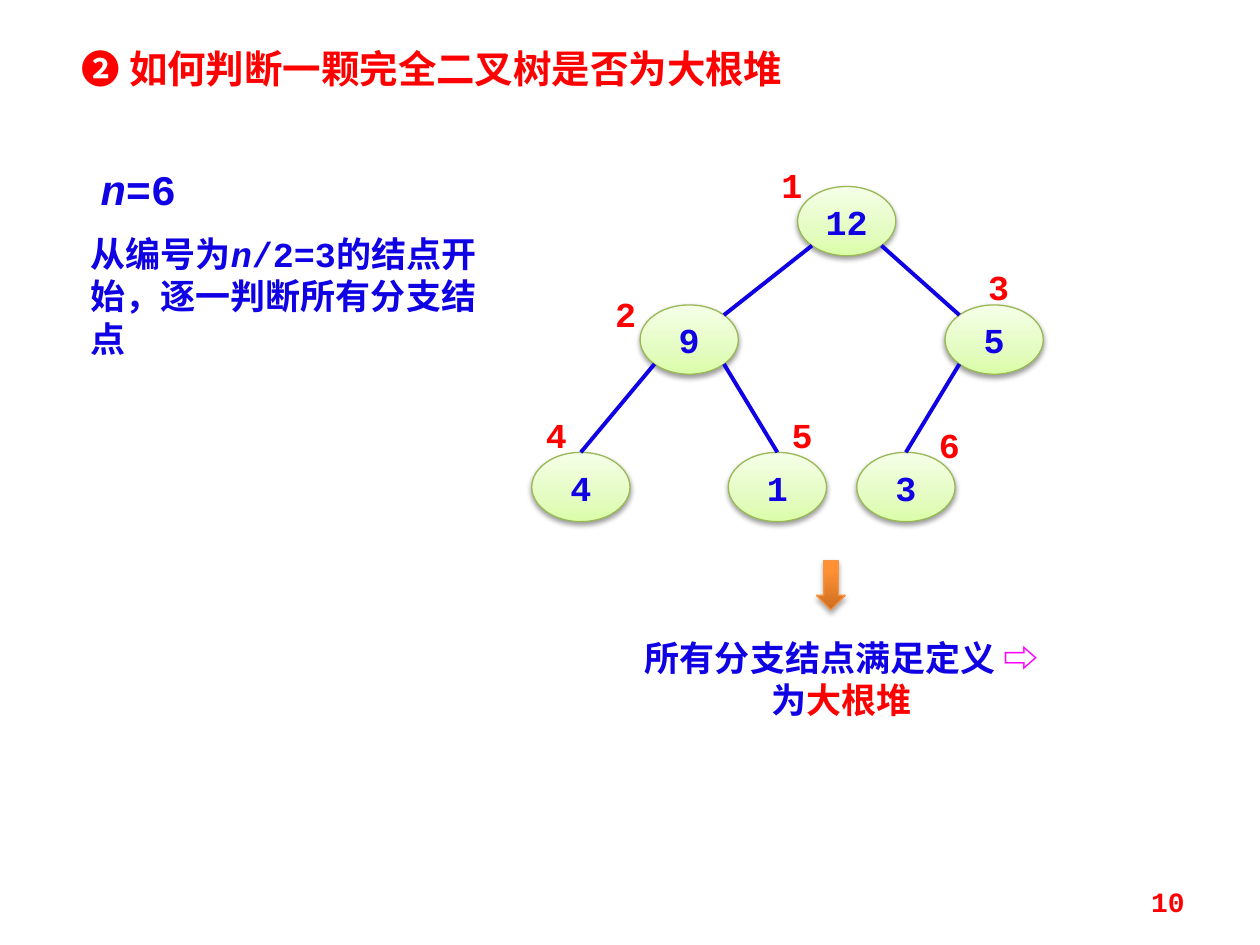
from dataclasses import dataclass
from math import sqrt
from typing import NamedTuple

from lxml.etree import SubElement
from pptx import Presentation
from pptx.dml.color import RGBColor
from pptx.enum.shapes import MSO_CONNECTOR as Connector, MSO_SHAPE as Shape
from pptx.enum.text import MSO_ANCHOR as Anchor, MSO_AUTO_SIZE as AutoSize, PP_ALIGN as Align
from pptx.oxml.ns import qn
from pptx.util import Inches, Pt


@dataclass(frozen=True)
class Theme:
    font: str = "Courier New"
    blue: str = "1000E4"
    red: str = "FF0000"
    magenta: str = "FF00FF"
    node_line: str = "98B955"
    arrow_line: str = "F69240"
    node_stops: tuple = ((0, "DAFDA7"), (35, "E4FCC2"), (100, "F5FFE7"))
    arrow_stops: tuple = ((0, "CC6E20"), (80, "FF9034"), (100, "FF9136"))
    title: int = 22
    lead: int = 24
    body: int = 20
    page: int = 16


THEME = Theme()
NODE_W, NODE_H = 0.78, 0.55
LABEL_W, LABEL_H = 0.39, 0.34


class Box(NamedTuple):
    left: float
    top: float
    width: float
    height: float


class Run(NamedTuple):
    text: str
    color: str = THEME.blue
    italic: bool = False


@dataclass(frozen=True)
class Node:
    value: int
    left: float
    top: float
    label_left: float
    label_top: float

    def corner(self, side: int, end: int) -> tuple[float, float]:
        """Diagonal point of the ellipse: side -1 left, 1 right; end -1 upper, 1 lower."""
        return (self.left + NODE_W / 2 * (1 + side / sqrt(2)),
                self.top + NODE_H / 2 * (1 + end / sqrt(2)))

    def apex(self) -> tuple[float, float]:
        return self.left + NODE_W / 2, self.top


# Heap nodes in numbering order: the children of i are 2i and 2i + 1
NODES = (
    Node(12, 6.33, 1.48, 6.09, 1.30),
    Node(9, 5.08, 2.42, 4.77, 2.32),
    Node(5, 7.50, 2.42, 7.73, 2.11),
    Node(4, 4.22, 3.59, 4.22, 3.28),
    Node(1, 5.78, 3.59, 6.17, 3.28),
    Node(3, 6.80, 3.59, 7.34, 3.36),
)


def write(frame, runs: list[Run], size: int, align=Align.LEFT, **settings) -> None:
    for name, value in ({"word_wrap": True} | settings).items():
        setattr(frame, name, value)
    paragraph = frame.paragraphs[0]
    paragraph.alignment = align
    for part in runs:
        run = paragraph.add_run()
        run.text = part.text
        look = {"name": THEME.font, "size": Pt(size), "bold": True, "italic": part.italic}
        for name, value in look.items():
            setattr(run.font, name, value)
        run.font.color.rgb = RGBColor.from_string(part.color)


def add_text(slide, box: Box, runs: list[Run], size: int, align=Align.LEFT, **settings) -> None:
    frame = slide.shapes.add_textbox(*map(Inches, box)).text_frame
    write(frame, runs, size, align, **settings)


def add_glossy(slide, kind, box: Box, stops: tuple, line: str, opacity: int, distance: float):
    """Shape with a bottom-to-top gradient and a soft shadow below."""
    shape = slide.shapes.add_shape(kind, *map(Inches, box))
    shape.fill.gradient()
    shape.fill.gradient_angle = 90
    stop_list = shape._element.spPr.find(".//" + qn("a:gsLst"))
    for stop in list(stop_list):
        stop_list.remove(stop)
    for position, color in stops:
        stop = SubElement(stop_list, qn("a:gs"), pos=str(position * 1000))
        SubElement(stop, qn("a:srgbClr"), val=color)
    shape.line.color.rgb = RGBColor.from_string(line)
    shape.line.width = Pt(0.75)
    shape.shadow.inherit = False
    effects = shape._element.spPr.find(qn("a:effectLst"))
    shadow = SubElement(effects, qn("a:outerShdw"), blurRad=str(Pt(3.1)),
                        dist=str(Pt(distance)), dir="5400000", rotWithShape="0")
    tint = SubElement(shadow, qn("a:srgbClr"), val="000000")
    SubElement(tint, qn("a:alpha"), val=str(opacity * 1000))
    return shape


def add_edge(slide, start: tuple[float, float], end: tuple[float, float]) -> None:
    edge = slide.shapes.add_connector(Connector.STRAIGHT, *map(Inches, start + end))
    edge.line.color.rgb = RGBColor.from_string(THEME.blue)
    edge.line.width = Pt(2.25)
    SubElement(edge._element.spPr, qn("a:effectLst"))


def add_tree(slide) -> None:
    for node in NODES:
        ellipse = add_glossy(slide, Shape.OVAL, Box(node.left, node.top, NODE_W, NODE_H),
                             THEME.node_stops, THEME.node_line, 38, 1.6)
        write(ellipse.text_frame, [Run(str(node.value))], THEME.body, Align.CENTER,
              vertical_anchor=Anchor.MIDDLE)
    for number, child in enumerate(NODES[1:], start=2):
        parent = NODES[number // 2 - 1]
        side = -1 if number % 2 == 0 else 1
        is_leaf = 2 * number > len(NODES)
        # Inner nodes are met on the diagonal facing the parent, leaves on top
        end = child.apex() if is_leaf and number > 3 else child.corner(-side, -1)
        add_edge(slide, parent.corner(side, 1), end)
    margins = dict.fromkeys(
        ("margin_left", "margin_top", "margin_right", "margin_bottom"), 0)
    for number, node in enumerate(NODES, start=1):
        add_text(slide, Box(node.label_left, node.label_top, LABEL_W, LABEL_H),
                 [Run(str(number), THEME.red)], THEME.body, Align.CENTER, **margins)


def main() -> None:
    deck = Presentation()
    deck.slide_width, deck.slide_height = Inches(10), Inches(7.5)
    slide = deck.slides.add_slide(deck.slide_layouts[5])

    # Title
    title = slide.shapes.title
    title.left, title.top, title.width, title.height = map(Inches, Box(0.55, 0.31, 6.72, 0.47))
    write(title.text_frame, [Run("❷ 如何判断一颗完全二叉树是否为大根堆", THEME.red)],
          THEME.title, vertical_anchor=Anchor.TOP, auto_size=AutoSize.NONE)

    # Heap tree
    add_tree(slide)

    # Where the check starts
    add_text(slide, Box(0.7, 1.25, 1.33, 0.5), [Run("n", italic=True), Run("=6")], THEME.lead)
    add_text(slide, Box(0.62, 1.8, 3.52, 0.77),
             [Run("从编号为"), Run("n", italic=True),
              Run("/2=3的结点开始，逐一判断所有分支结点")], THEME.body)

    # Conclusion
    add_text(slide, Box(4.92, 5, 3.52, 0.77),
             [Run("所有分支结点满足定义 "), Run("⇨ ", THEME.magenta),
              Run("为"), Run("大根堆", THEME.red)], THEME.body, Align.CENTER)
    add_glossy(slide, Shape.DOWN_ARROW, Box(6.48, 4.45, 0.23, 0.39),
               THEME.arrow_stops, THEME.arrow_line, 35, 1.8)

    # Page number
    add_text(slide, Box(7.17, 6.95, 2.33, 0.4), [Run("10", THEME.red)], THEME.page,
             Align.RIGHT, vertical_anchor=Anchor.MIDDLE)

    deck.save("out.pptx")


if __name__ == "__main__":
    main()
